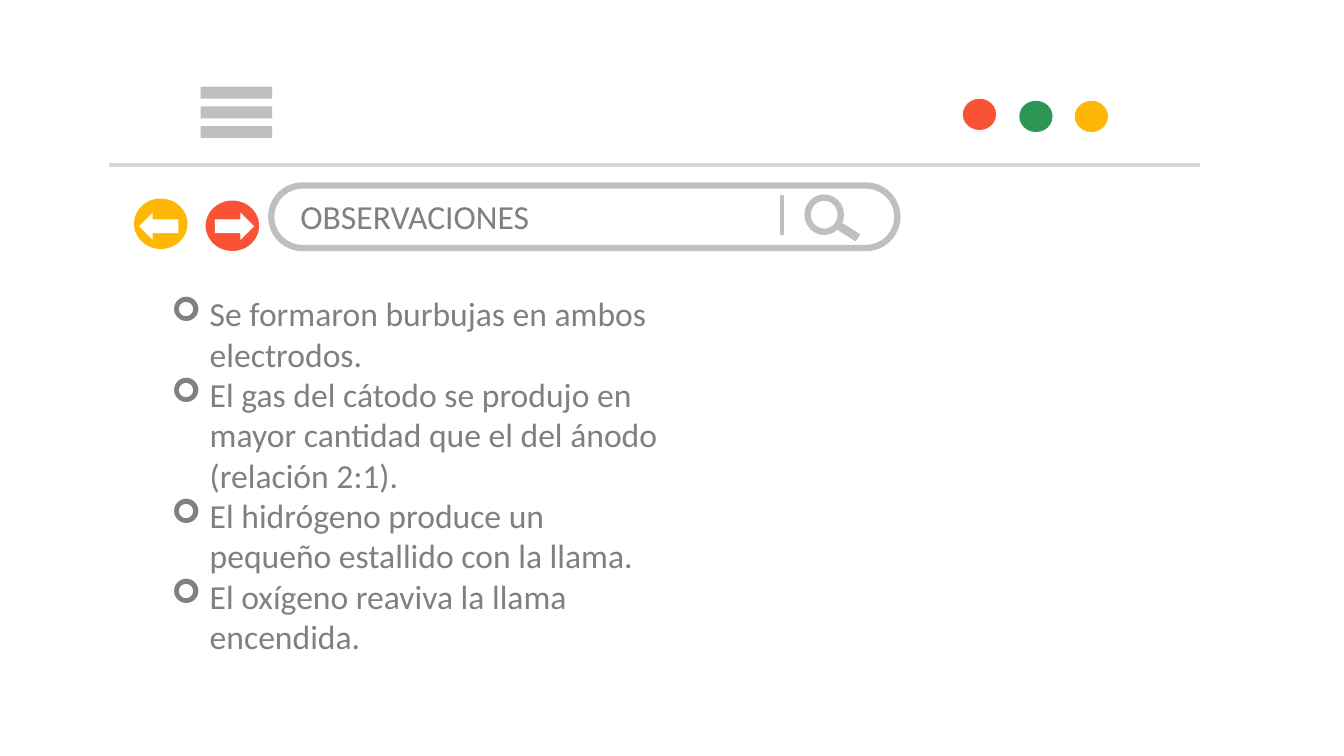
"""Build the observations slide, styled as a browser window."""
from dataclasses import dataclass

from lxml import etree
from pptx import Presentation
from pptx import util as u
from pptx.dml.color import RGBColor
from pptx.enum import shapes, text
from pptx.oxml.ns import qn


@dataclass(frozen=True)
class Theme:
    font: str = "Calibri"
    size: int = 24
    ink: str = "808080"
    gray: str = "BFBFBF"
    rule: str = "D9D9D9"
    red: str = "FA5235"
    green: str = "2C9754"
    yellow: str = "FEB704"
    white: str = "FFFFFF"


def write(paragraph, words, *, font, size, color, bullet=None, indent=0):
    paragraph.alignment = text.PP_ALIGN.LEFT
    paragraph.line_spacing = 1.0
    paragraph.space_before = paragraph.space_after = u.Pt(0)
    run = paragraph.add_run()
    run.text = words
    run.font.name = font
    run.font.size = u.Pt(size)
    run.font.color.rgb = RGBColor.from_string(color)
    if bullet:
        properties = paragraph._p.get_or_add_pPr()
        properties.set("marL", str(u.Inches(indent)))
        properties.set("indent", str(-u.Inches(indent)))
        etree.SubElement(properties, qn("a:buFont")).set("typeface", "Wingdings")
        etree.SubElement(properties, qn("a:buChar")).set("char", bullet)


class BrowserSlide:
    def __init__(self, deck, theme):
        self.theme = theme
        self.slide = deck.slides.add_slide(deck.slide_layouts[1])

    def shape(self, kind, box, fill=None, line=None, width=0, rotation=0):
        item = self.slide.shapes.add_shape(kind, *map(u.Inches, box))
        item.shadow.inherit = False
        item.rotation = rotation
        if fill:
            item.fill.solid()
            item.fill.fore_color.rgb = RGBColor.from_string(fill)
        else:
            item.fill.background()
        if line:
            item.line.color.rgb = RGBColor.from_string(line)
            item.line.width = u.Pt(width)
        else:
            item.line.fill.background()
        return item

    def line(self, start, end, color, width):
        item = self.slide.shapes.add_connector(
            shapes.MSO_CONNECTOR.STRAIGHT, *map(u.Inches, (*start, *end)))
        item.line.color.rgb = RGBColor.from_string(color)
        item.line.width = u.Pt(width)
        etree.SubElement(item._element.spPr, qn("a:effectLst"))

    def fill_placeholder(self, index, box, lines, **style):
        holder = self.slide.placeholders[index]
        holder.left, holder.top, holder.width, holder.height = map(u.Inches, box)
        frame = holder.text_frame
        frame.word_wrap = True
        frame.auto_size = text.MSO_AUTO_SIZE.NONE
        frame.vertical_anchor = text.MSO_ANCHOR.TOP
        for number, words in enumerate(lines):
            paragraph = frame.add_paragraph() if number else frame.paragraphs[0]
            write(paragraph, words, font=self.theme.font, size=self.theme.size,
                  color=self.theme.ink, **style)

    def arrow_button(self, circle, arrow, color, rotation=0):
        self.shape(shapes.MSO_SHAPE.OVAL, (*circle, 0.53, 0.5), fill=color)
        self.shape(shapes.MSO_SHAPE.RIGHT_ARROW, (*arrow, 0.39, 0.27),
                   fill=self.theme.white, rotation=rotation)


def main():
    deck = Presentation()
    deck.slide_width, deck.slide_height = u.Inches(13.33), u.Inches(7.5)
    theme = Theme()
    page = BrowserSlide(deck, theme)
    preset = shapes.MSO_SHAPE

    page.line((1.08, 1.64), (11.9, 1.64), theme.rule, 3)
    for row in range(3):
        page.shape(preset.RECTANGLE, (1.99, 0.86 + row * 0.195, 0.71, 0.12),
                   fill=theme.gray)
    window_dots = ((9.55, 0.98, theme.red), (10.11, 1, theme.green),
                   (10.66, 1, theme.yellow))
    for left, top, color in window_dots:
        page.shape(preset.OVAL, (left, top, 0.33, 0.31), fill=color)

    page.line((8.32, 2.24), (8.51, 2.36), theme.gray, 6)
    search_bar = page.shape(preset.ROUNDED_RECTANGLE, (2.69, 1.84, 6.21, 0.62),
                            line=theme.gray, width=4.5)
    search_bar.adjustments[0] = 0.5
    page.shape(preset.OVAL, (8.01, 1.96, 0.33, 0.34), line=theme.gray, width=4.5)
    page.line((7.76, 1.93), (7.76, 2.33), theme.gray, 3)

    page.fill_placeholder(0, (2.88, 1.89, 3.22, 0.5), ["OBSERVACIONES"])
    observations = [
        "Se formaron burbujas en ambos electrodos.",
        "El gas del cátodo se produjo en mayor cantidad que el del ánodo (relación 2:1).",
        "El hidrógeno produce un pequeño estallido con la llama.",
        "El oxígeno reaviva la llama encendida.",
    ]
    page.fill_placeholder(1, (1.6, 2.86, 5.06, 3.74), observations,
                          bullet="➢", indent=0.38)

    page.arrow_button((2.04, 1.99), (2.13, 2.11), theme.red)
    page.arrow_button((1.33, 1.97), (1.38, 2.11), theme.yellow, rotation=180)
    deck.save("out.pptx")


if __name__ == "__main__":
    main()
